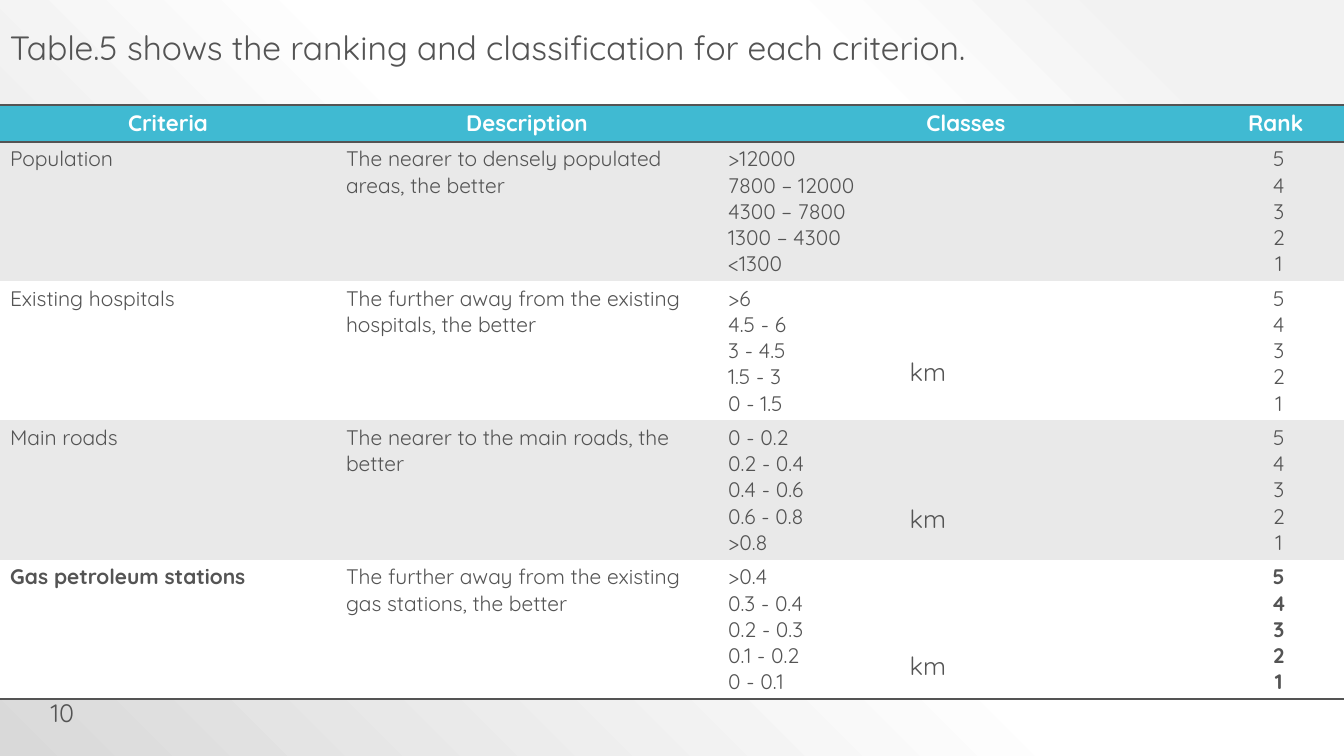
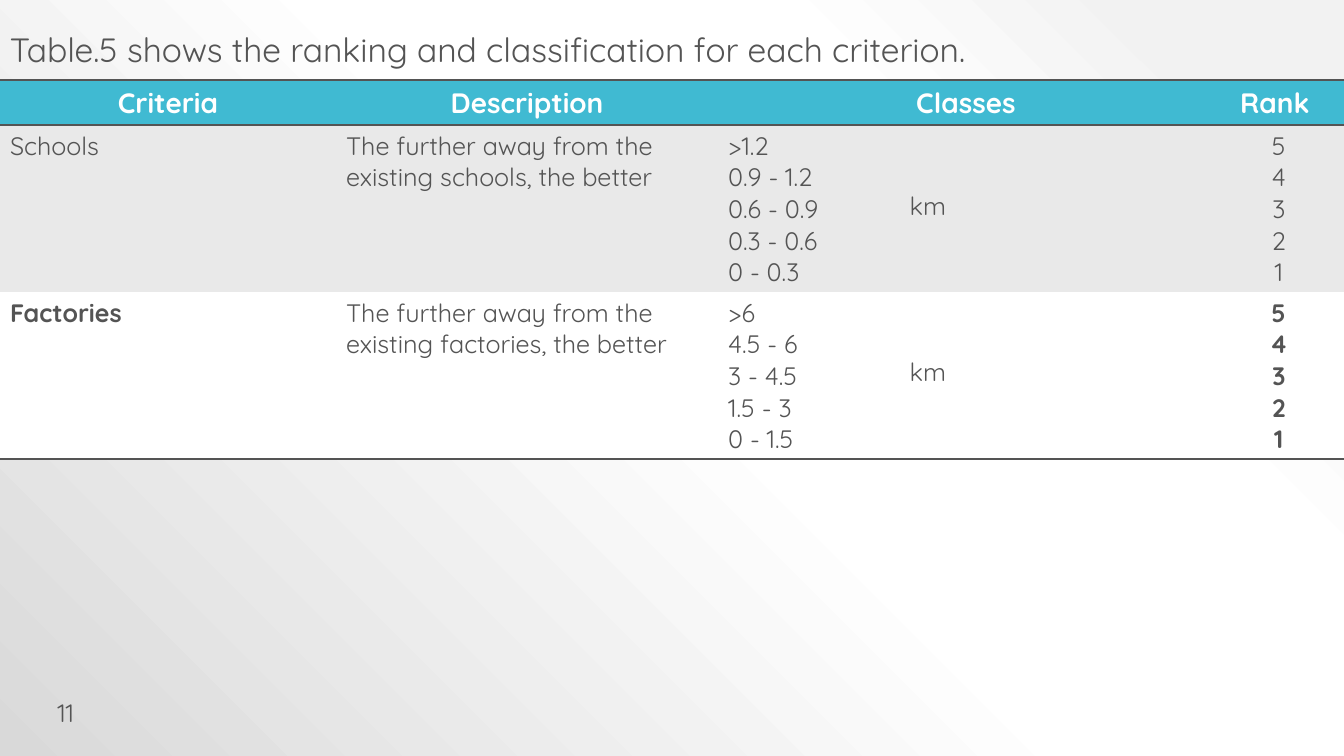
"""Build two slides that rank the classes of each siting criterion."""
from dataclasses import dataclass

from lxml import etree
from pptx import Presentation
from pptx import util as u
from pptx.dml.color import RGBColor
from pptx.enum import text
from pptx.oxml.ns import nsdecls, qn

PX = 9525


@dataclass(frozen=True)
class Theme:
    font: str = "Quicksand"
    ink: str = "545454"
    white: str = "FFFFFF"
    teal: str = "40BAD2"
    band: str = "E9E9E9"
    title: int = 24
    label: int = 18
    backdrop: tuple = ((10, "F2F2F2"), (28, "FFFFFF"), (48, "FFFFFF"), (100, "D9D9D9"))


THEME = Theme()
TITLE = "Table.5 shows the ranking and classification for each criterion."
HEADINGS = ("Criteria", "Description", "Classes", "Rank ")
RANKS = ("5", "4", "3", "2", "1")
COLUMN_WIDTHS = (320, 364, 472, 124)
PLAIN_TABLE = "{2D5ABB26-0587-4C30-8999-92F81FD0307C}"
LEFT, CENTER, RIGHT = text.PP_ALIGN.LEFT, text.PP_ALIGN.CENTER, text.PP_ALIGN.RIGHT

PAGES = (
    dict(
        number="10", title_top=25, table_top=100, header_height=35, row_height=132,
        header_size=16, body_size=15, margin=4, unit_tops=(338, 478, 618),
        rows=(
            ("Population", "The nearer to densely populated areas, the better",
             (">12000", "7800 – 12000", "4300 – 7800", "1300 – 4300", "<1300")),
            ("Existing hospitals", "The further away from the existing hospitals, the better",
             (">6", "4.5 - 6", "3 - 4.5", "1.5 - 3", "0 - 1.5")),
            ("Main roads", "The nearer to the main roads, the better",
             ("0 - 0.2", "0.2 - 0.4", "0.4 - 0.6", "0.6 - 0.8", ">0.8")),
            ("Gas petroleum stations", "The further away from the existing gas stations, the better",
             (">0.4", "0.3 - 0.4", "0.2 - 0.3", "0.1 - 0.2", "0 - 0.1")),
        ),
    ),
    dict(
        number="11", title_top=27, table_top=76, header_height=43, row_height=159,
        header_size=20, body_size=18, margin=5, unit_tops=(180, 338),
        rows=(
            ("Schools", "The further away from the existing schools, the better",
             (">1.2", "0.9 - 1.2", "0.6 - 0.9", "0.3 - 0.6", "0 - 0.3")),
            ("Factories", "The further away from the existing factories, the better",
             (">6", "4.5 - 6", "3 - 4.5", "1.5 - 3", "0 - 1.5")),
        ),
    ),
)


def write(frame, lines, size, color=THEME.ink, align=LEFT, bold=False, spacing=None):
    frame.text = "\n".join(lines)
    for para in frame.paragraphs:
        para.alignment = align
        para.line_spacing = spacing
        para.font.name = THEME.font
        para.font.size = u.Pt(size)
        para.font.bold = bold
        para.font.color.rgb = RGBColor.from_string(color)


def add_label(page, bounds, line, size, **style):
    box = page.shapes.add_textbox(*(side * PX for side in bounds))
    box.text_frame.word_wrap = True
    write(box.text_frame, [line], size, **style)
    return box.text_frame


deck = Presentation()
deck.slide_width, deck.slide_height = 1280 * PX, 720 * PX

master = deck.slide_master
master.background.fill.gradient()
gradient = master.element.find(".//" + qn("a:gradFill"))
stops = "".join(
    f'<a:gs pos="{place * 1000}"><a:srgbClr val="{color}"/></a:gs>'
    for place, color in THEME.backdrop
)
gradient.getparent().replace(gradient, etree.fromstring(
    f'<a:gradFill {nsdecls("a")} rotWithShape="1"><a:gsLst>{stops}</a:gsLst>'
    '<a:path path="circle"><a:fillToRect l="100000" b="100000"/></a:path></a:gradFill>'
))

for content in PAGES:
    page = deck.slides.add_slide(deck.slide_layouts[6])
    rows = content["rows"]
    heights = [content["header_height"]] + [content["row_height"]] * len(rows)
    frame = page.shapes.add_table(
        len(heights), len(HEADINGS), 0, content["table_top"] * PX,
        sum(COLUMN_WIDTHS) * PX, sum(heights) * PX,
    )
    table = frame.table
    table.horz_banding = False
    frame.element.find(".//" + qn("a:tableStyleId")).text = PLAIN_TABLE
    for column, width in zip(table.columns, COLUMN_WIDTHS):
        column.width = width * PX
    for row, height in zip(table.rows, heights):
        row.height = height * PX

    grid = [[[heading] for heading in HEADINGS]]
    grid += [[[name], [description], classes, RANKS] for name, description, classes in rows]
    for r, row in enumerate(grid):
        header, last = r == 0, r == len(rows)
        for c, lines in enumerate(row):
            cell = table.cell(r, c)
            cell.margin_top = cell.margin_bottom = content["margin"] * PX
            write(
                cell.text_frame, lines,
                content["header_size"] if header else content["body_size"],
                color=THEME.white if header else THEME.ink,
                align=CENTER if header or c == 3 else LEFT,
                bold=header or (last and c in (0, 3)),
            )
            properties = cell._tc.get_or_add_tcPr()
            for edge in ("lnT", "lnB") if header else ("lnB",) if last else ():
                properties.append(etree.fromstring(
                    f'<a:{edge} {nsdecls("a")} w="{u.Pt(2)}"><a:solidFill>'
                    f'<a:srgbClr val="{THEME.ink}"/></a:solidFill></a:{edge}>'
                ))
            cell.fill.solid()
            fill = THEME.teal if header else THEME.band if r % 2 else THEME.white
            cell.fill.fore_color.rgb = RGBColor.from_string(fill)

    add_label(page, (0, content["title_top"], 1056, 80), TITLE, THEME.title, spacing=0.9)
    for top in content["unit_tops"]:
        add_label(page, (857, top, 97, 36), "km", THEME.label, spacing=0.9)
    number = add_label(page, (10, 651, 70, 55), content["number"], THEME.label, align=RIGHT)
    number.vertical_anchor = text.MSO_ANCHOR.MIDDLE

deck.save("out.pptx")
